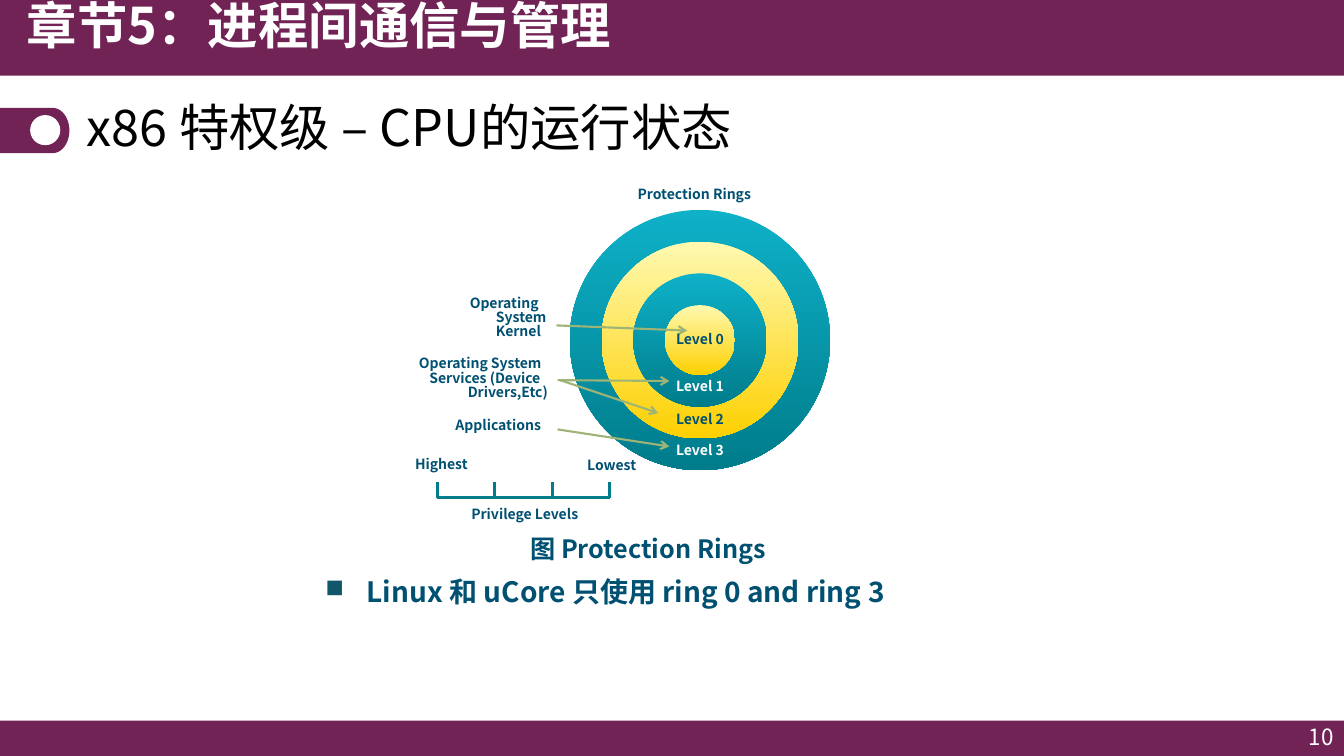
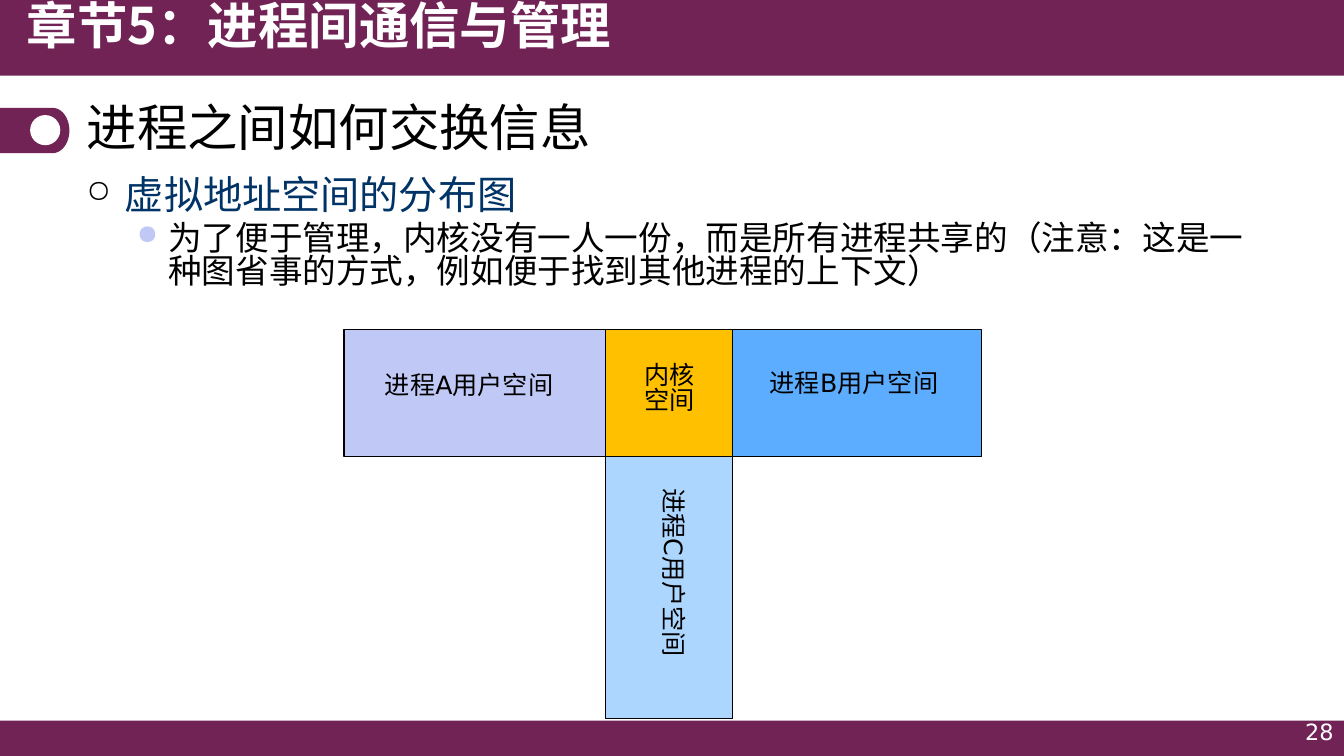
"""Builds two lecture slides on privilege rings and shared kernel address space."""
from dataclasses import dataclass
from math import cos, pi, sin

from lxml import etree
from pptx import Presentation
from pptx.dml.color import RGBColor
from pptx.enum.shapes import MSO_CONNECTOR, MSO_SHAPE
from pptx.enum.text import MSO_ANCHOR, MSO_AUTO_SIZE, PP_ALIGN
from pptx.oxml.ns import qn
from pptx.util import Cm, Pt

STRAIGHT = MSO_CONNECTOR.STRAIGHT
RECT, OVAL = MSO_SHAPE.RECTANGLE, MSO_SHAPE.OVAL
TOP, MIDDLE = MSO_ANCHOR.TOP, MSO_ANCHOR.MIDDLE
NO_FIT = MSO_AUTO_SIZE.NONE
LEFT, RIGHT = PP_ALIGN.LEFT, PP_ALIGN.RIGHT


@dataclass(frozen=True)
class Theme:
    """Colours, fonts, type sizes and line spacing."""
    plum: str = "712355"
    white: str = "FFFFFF"
    black: str = "000000"
    navy: str = "005072"
    heading: str = "003366"
    square: str = "11576A"
    teal: str = "007C8B"
    aqua: str = "0EB1C8"
    gold: str = "FDD000"
    cream: str = "FFF9B1"
    olive: str = "9EB376"
    lilac: str = "C0C9F6"
    sky: str = "5CADFF"
    pale: str = "ADD6FF"
    amber: str = "FFC000"
    sans: str = "Noto Sans CJK SC"
    plain: str = "DejaVu Sans"
    title_size: int = 36
    topic_size: int = 28
    detail_size: int = 24
    note_size: int = 20
    caption_size: int = 18
    page_size: int = 16
    label_size: int = 10
    leading: float = 0.82
    title_leading: float = 0.74


THEME = Theme()


class Deck:
    """Holds the style and the current slide."""

    def __init__(self, theme):
        self.theme = theme
        self.prs = Presentation()
        self.prs.slide_width, self.prs.slide_height = Cm(33.87), Cm(19.05)
        self.slide = None

    def new_slide(self, title, page, page_top, page_font):
        """Starts a slide with its bands, tab, title and page number."""
        t = self.theme
        self.slide = self.prs.slides.add_slide(self.prs.slide_layouts[5])
        self.shape(RECT, (0, 18.16, 33.87, 0.9), t.plum)
        self.shape(RECT, (-0.08, 0, 33.95, 1.91), t.plum)
        self.tab()
        self.shape(OVAL, (0.76, 2.9, 0.76, 0.76), t.white)
        self.text("章节5：进程间通信与管理", (0.43, 0, 18.59, 1.96),
                  t.title_size, t.white, bold=True)
        heading = self.slide.shapes.title
        heading.left, heading.top, heading.width, heading.height = map(
            Cm, (1.93, 2.41, 30, 1.88))
        self.frame(heading.text_frame, MIDDLE)
        self.paragraph(heading.text_frame.paragraphs[0], title, t.title_size,
                       t.black, leading=t.title_leading)
        self.text(page, (25.96, page_top, 7.9, 0.84), t.page_size, t.white,
                  font=page_font, align=RIGHT, anchor=MIDDLE)

    def tab(self):
        """Draws the round-ended tab beside the title."""
        top, radius, straight, bulge = 2.72, 0.57, 1.33, 0.42
        arc = [(straight + bulge * sin(pi * i / 24),
                top + radius - radius * cos(pi * i / 24)) for i in range(25)]
        outline = self.slide.shapes.build_freeform(Cm(0), Cm(top))
        points = arc + [(0, top + 2 * radius)]
        outline.add_line_segments([(Cm(x), Cm(y)) for x, y in points])
        self.paint(outline.convert_to_shape(), self.theme.plum)

    def paint(self, shape, fill, line=None):
        """Gives a shape a flat fill and an optional outline."""
        shape.shadow.inherit = False
        shape.fill.solid()
        shape.fill.fore_color.rgb = RGBColor.from_string(fill)
        if line:
            shape.line.color.rgb = RGBColor.from_string(line)
            shape.line.width = Pt(0.75)
        else:
            shape.line.fill.background()

    def shape(self, kind, box, fill, line=None):
        """Adds a filled preset shape."""
        shape = self.slide.shapes.add_shape(kind, *map(Cm, box))
        self.paint(shape, fill, line)
        return shape

    def ring(self, centre, diameter, upper, lower):
        """Adds a disc shaded from top to bottom."""
        x, y = (c - diameter / 2 for c in centre)
        disc = self.shape(OVAL, (x, y, diameter, diameter), lower)
        disc.fill.gradient()
        disc.fill.gradient_angle = 270
        for stop, color in zip(disc.fill.gradient_stops, (upper, lower)):
            stop.color.rgb = RGBColor.from_string(color)

    def line(self, start, end, color, width, arrow=False):
        """Adds a straight line, with an arrowhead if asked."""
        line = self.slide.shapes.add_connector(
            STRAIGHT, *map(Cm, (*start, *end)))
        line.line.color.rgb = RGBColor.from_string(color)
        line.line.width = Pt(width)
        if arrow:
            etree.SubElement(line.line._get_or_add_ln(), qn("a:tailEnd"),
                             type="arrow")
        etree.SubElement(line._element.spPr, qn("a:effectLst"))

    def frame(self, frame, anchor):
        """Sets wrapping, fitting and anchoring of a text frame."""
        settings = {"word_wrap": True, "auto_size": NO_FIT,
                    "vertical_anchor": anchor}
        for name, value in settings.items():
            setattr(frame, name, value)

    def paragraph(self, para, text, size, color, font=None, bold=False,
                  align=LEFT, indent=None, bullet=None, before=0,
                  leading=None):
        """Fills one paragraph and formats it."""
        t = self.theme
        props = para._p.get_or_add_pPr()
        if indent:
            for name, value in zip(("marL", "indent"), indent):
                props.set(name, str(Cm(value)))
        if bullet:
            mark, mark_color, percent = bullet
            tint = etree.SubElement(props, qn("a:buClr"))
            etree.SubElement(tint, qn("a:srgbClr"), val=mark_color)
            etree.SubElement(props, qn("a:buSzPct"), val=str(percent * 1000))
            etree.SubElement(props, qn("a:buChar"), char=mark)
        layout = {"alignment": align, "space_before": Pt(before),
                  "line_spacing": leading or t.leading}
        for name, value in layout.items():
            setattr(para, name, value)
        run = para.add_run()
        run.text = text
        style = {"name": font or t.sans, "size": Pt(size), "bold": bold}
        for name, value in style.items():
            setattr(run.font, name, value)
        run.font.color.rgb = RGBColor.from_string(color)
        etree.SubElement(run._r.get_or_add_rPr(), qn("a:ea"), typeface=t.sans)

    def text_box(self, box, anchor=TOP):
        """Adds an empty wrapping text box."""
        holder = self.slide.shapes.add_textbox(*map(Cm, box))
        self.frame(holder.text_frame, anchor)
        return holder

    def text(self, text, box, size, color, anchor=TOP, **style):
        """Adds a text box with one paragraph per line of text."""
        holder = self.text_box(box, anchor)
        frame = holder.text_frame
        for i, words in enumerate(text.split("\n")):
            para = frame.add_paragraph() if i else frame.paragraphs[0]
            self.paragraph(para, words, size, color, **style)
        return holder


def protection_rings(deck):
    """Slide on the x86 privilege levels."""
    t = deck.theme
    deck.new_slide("x86 特权级 – CPU的运行状态", "10", 18.21, t.sans)
    shades = [(t.aqua, t.teal), (t.cream, t.gold)]
    for i in range(4):
        deck.ring((17.64, 8.57), 6.56 - 1.6 * i, *shades[i % 2])

    scale_left, scale_y, step = 11.02, 12.53, 1.45
    deck.line((scale_left, scale_y), (scale_left + 3 * step, scale_y),
              t.teal, 2.25)
    for i in range(4):
        x = scale_left + i * step
        deck.line((x, scale_y + 0.02), (x, 12.14), t.teal, 2.25)

    arrows = [((14.02, 8.2), (17.32, 8.33)), ((14.05, 9.58), (16.87, 9.6)),
              ((14.12, 9.58), (16.59, 10.41)),
              ((14.05, 10.82), (16.87, 11.25))]
    for start, end in arrows:
        deck.line(start, end, t.olive, 1.5, arrow=True)

    labels = [
        ("Protection Rings", (15.82, 4.62, 3.86, 0.79), None),
        ("Operating System Kernel", (11.28, 7.37, 2.74, 1.6), (0.97, -0.66)),
        ("Operating System", (10.31, 8.89, 4.06, 0.86), None),
        ("Services (Device Drivers,Etc)", (10.57, 9.27, 3.63, 0.69),
         (0.97, -0.97)),
        ("Applications", (11.23, 10.44, 2.9, 0.76), None),
        ("Highest", (10.21, 11.43, 2.26, 0.84), None),
        ("Lowest", (14.55, 11.46, 2.26, 0.84), None),
        ("Privilege Levels", (11.63, 12.7, 3.86, 0.74), None),
    ]
    for words, box, indent in labels:
        deck.text(words, box, t.label_size, t.navy, bold=True, indent=indent)
    level_colors = (t.navy, t.white, t.navy, t.white)
    for i, (y, color) in enumerate(zip((8.28, 9.47, 10.29, 11.07),
                                       level_colors)):
        deck.text(f"Level {i}", (16.79, y, 1.88, 0.71), t.label_size, color,
                  bold=True)

    deck.text("图 Protection Rings", (13.11, 13.46, 7.8, 0.76),
              t.caption_size, t.navy, bold=True)
    deck.text("Linux 和 uCore 只使用 ring 0 and ring 3",
              (7.95, 14.5, 20.1, 1.09), t.note_size, t.navy, bold=True,
              indent=(1.04, -1.04), bullet=("■", t.square, 90))


def address_space(deck):
    """Slide on how processes share the kernel space."""
    t = deck.theme
    deck.new_slide("进程之间如何交换信息", "28", 18.08, t.plain)
    body = deck.text_box((1.93, 4.37, 30, 3.8)).text_frame
    deck.paragraph(body.paragraphs[0], "虚拟地址空间的分布图", t.topic_size,
                   t.heading, indent=(0.97, -0.97),
                   bullet=("○", t.black, 80))
    detail = body.add_paragraph()
    detail.level = 1
    deck.paragraph(detail,
                   "为了便于管理，内核没有一人一份，而是所有进程共享的"
                   "（注意：这是一种图省事的方式，例如便于找到其他进程的上下文）",
                   t.detail_size, t.black, indent=(2.06, -0.79),
                   bullet=("●", t.lilac, 80), before=4.8)

    x, y, side, arm = 15.27, 8.31, 3.2, 9.8
    regions = [((14.94, y, arm, side), t.sky),
               ((x + side - arm, y, arm, side), t.lilac),
               ((x, y, side, arm), t.pale),
               ((x, y, side, side), t.amber)]
    for box, fill in regions:
        deck.shape(RECT, box, fill, line=t.black)

    captions = [("进程A用户空间", (9.45, 9.32, 4.9, 1.8), 0),
                ("进程B用户空间", (19.15, 9.27, 4.9, 1.8), 0),
                ("进程C用户空间", (14.01, 13.6, 4.9, 1.8), 90),
                ("内核\n空间", (16, 9.07, 2.57, 1.8), 0)]
    for words, box, angle in captions:
        caption = deck.text(words, box, t.caption_size, t.black, font=t.plain)
        caption.rotation = angle


def main():
    """Builds and saves the deck."""
    deck = Deck(THEME)
    protection_rings(deck)
    address_space(deck)
    deck.prs.save("out.pptx")


if __name__ == "__main__":
    main()
